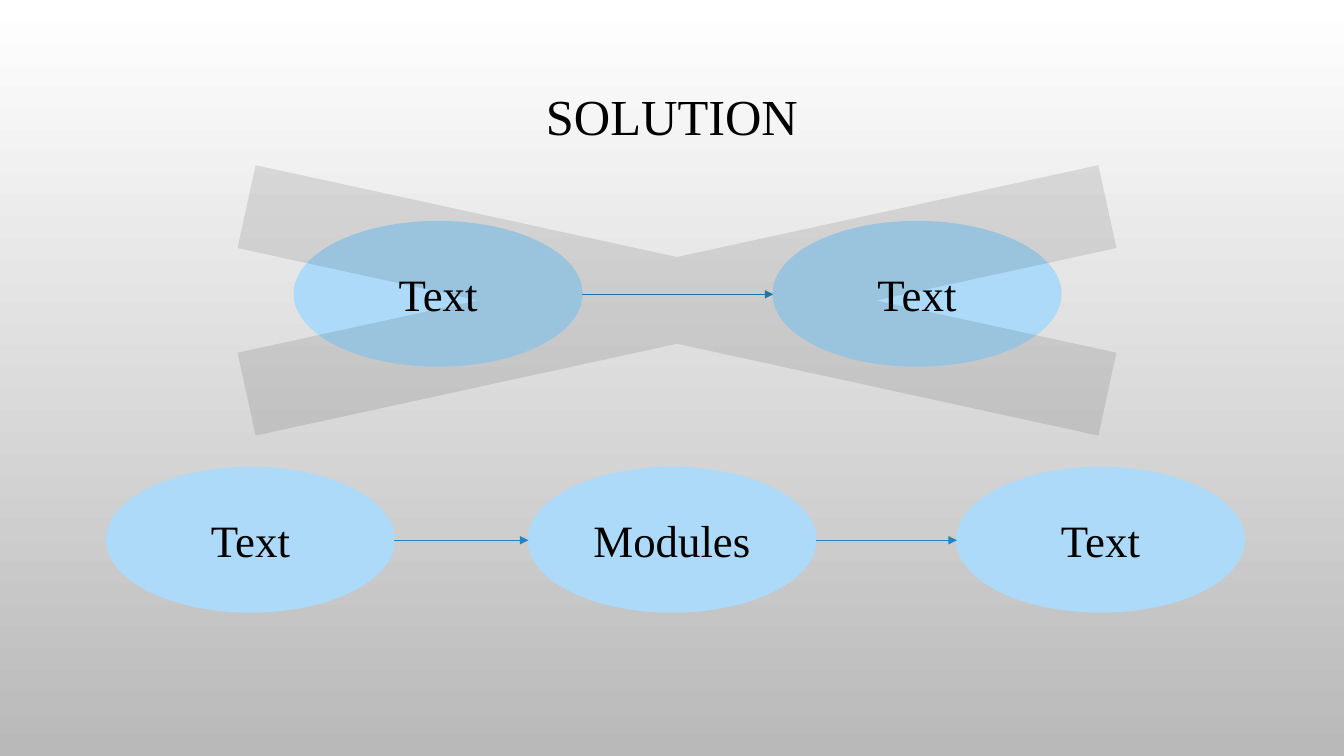
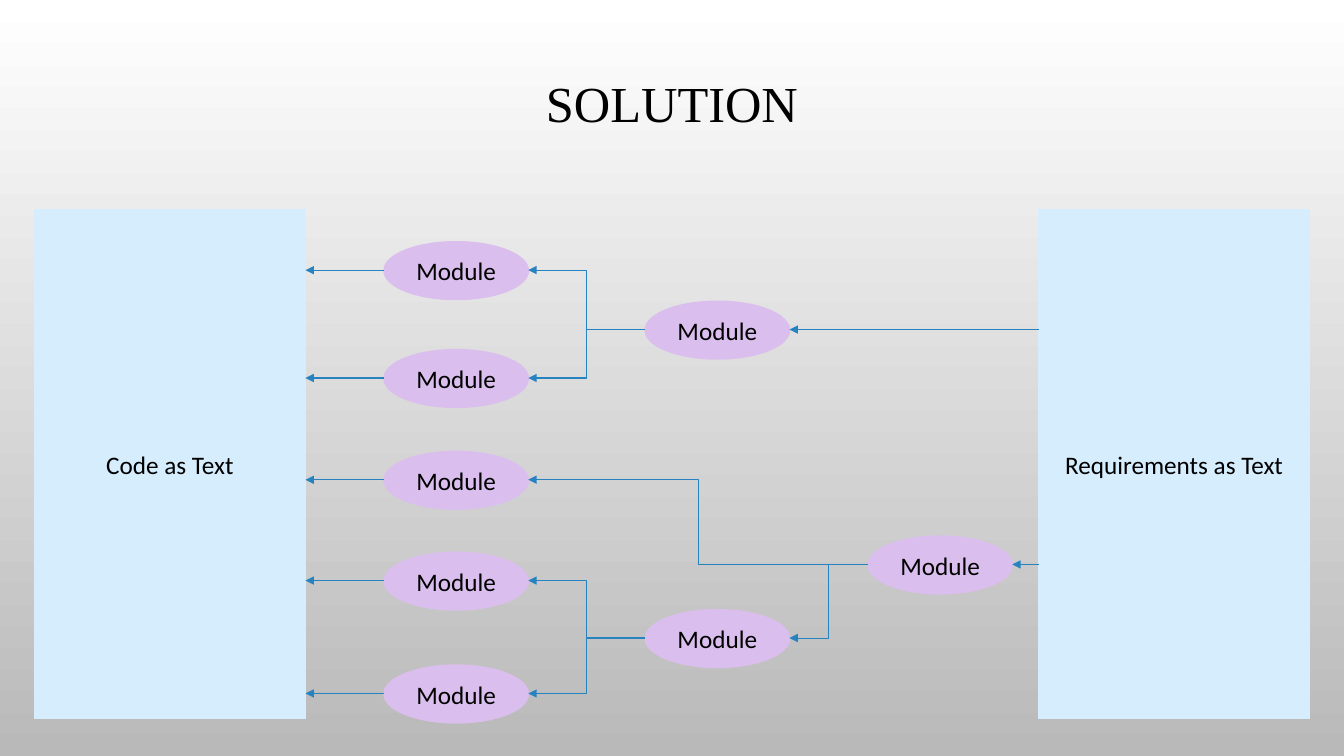
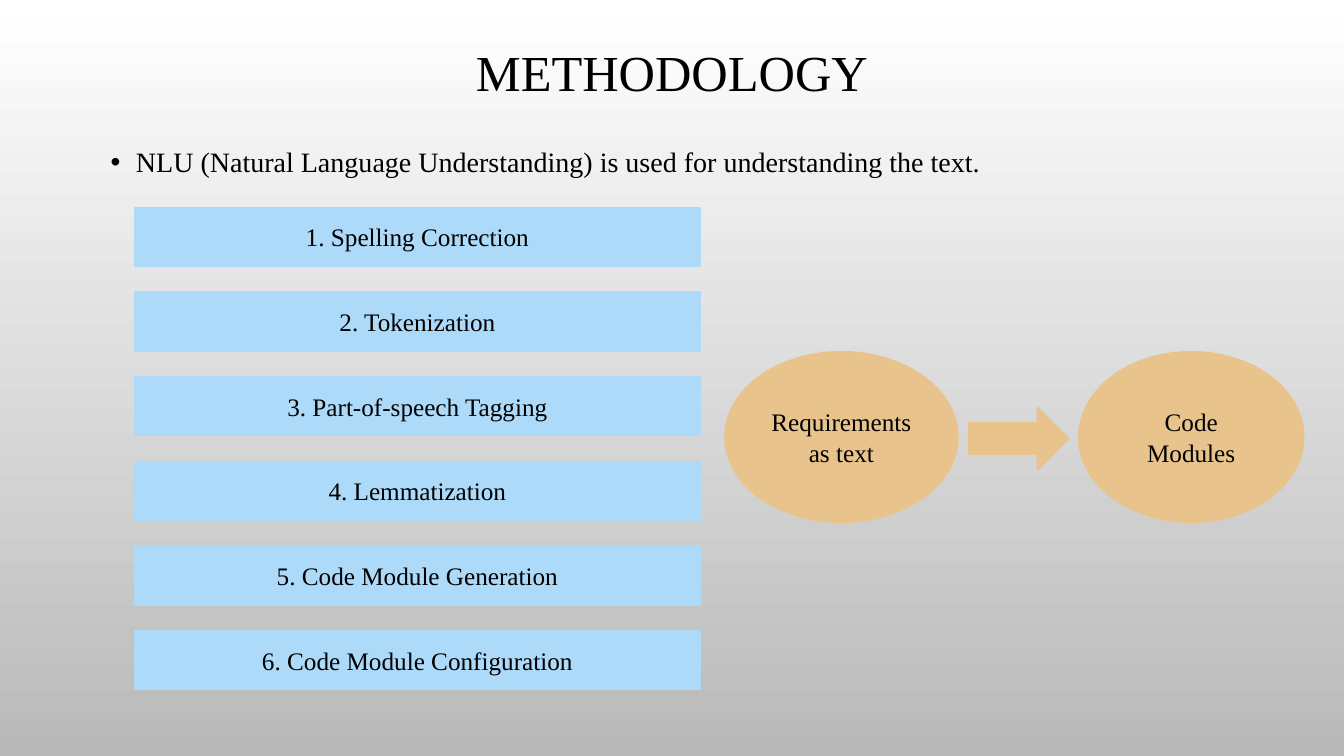
from lxml import etree
from pptx import Presentation
from pptx.dml.color import RGBColor
from pptx.enum.shapes import MSO_CONNECTOR, MSO_SHAPE
from pptx.enum.text import MSO_ANCHOR, PP_ALIGN
from pptx.oxml.ns import qn
from pptx.util import Pt

PX = 9144
WIDTH, HEIGHT = 1333, 750
ELLIPSE, RECTANGLE = MSO_SHAPE.OVAL, MSO_SHAPE.RECTANGLE
RIGHT_ARROW, MULTIPLY = MSO_SHAPE.RIGHT_ARROW, MSO_SHAPE.MATH_MULTIPLY
STRAIGHT, ELBOW = MSO_CONNECTOR.STRAIGHT, MSO_CONNECTOR.ELBOW
MIDDLE, TOP = MSO_ANCHOR.MIDDLE, MSO_ANCHOR.TOP
CENTER, LEFT = PP_ALIGN.CENTER, PP_ALIGN.LEFT

BLACK = RGBColor(0x00, 0x00, 0x00)
WHITE = RGBColor(0xFF, 0xFF, 0xFF)
GREY = RGBColor(0xB9, 0xB9, 0xB9)
SKY = RGBColor(0xAC, 0xDA, 0xF8)
PALE_SKY = RGBColor(0xD5, 0xED, 0xFC)
LILAC = RGBColor(0xDA, 0xBE, 0xED)
SAND = RGBColor(0xE8, 0xC4, 0x8C)
ARROW_BLUE = RGBColor(0x26, 0x83, 0xBF)

SERIF, SANS = "Times New Roman", "Calibri"
TITLE_FONT = {"name": SERIF, "size": Pt(36)}
BULLET_FONT = {"name": SERIF, "size": Pt(20)}
FLOW_FONT = {"name": SERIF, "size": Pt(32)}
STEP_FONT = {"name": SERIF, "size": Pt(18)}
MODULE_FONT = {"name": SANS, "size": Pt(18)}
TITLE_FORMAT = {"alignment": CENTER, "line_spacing": 0.9}
BULLET_FORMAT = {"alignment": LEFT, "line_spacing": 1.2}
SHAPE_FORMAT = {"alignment": CENTER}


def add_box(page, kind, place, text, font, fill=None, form=SHAPE_FORMAT, anchor=MIDDLE):
    area = [length * PX for length in place]
    if kind is None:
        box = page.shapes.add_textbox(*area)
    else:
        box = page.shapes.add_shape(kind, *area)
        box.shadow.inherit = False
        box.fill.solid()
        box.fill.fore_color.rgb = fill
        box.line.color.rgb = fill
        box.line.width = Pt(1.25)
    if text:
        frame = box.text_frame
        frame.word_wrap = True
        frame.vertical_anchor = anchor
        para = frame.paragraphs[0]
        for key, value in form.items():
            setattr(para, key, value)
        span = para.add_run()
        span.text = text
        span.font.color.rgb = BLACK
        for key, value in font.items():
            setattr(span.font, key, value)
    return box


def add_arrow(page, kind, start, end):
    arrow = page.shapes.add_connector(kind, *[length * PX for length in start + end])
    arrow.line.color.rgb = ARROW_BLUE
    arrow.line.width = Pt(0.75)
    etree.SubElement(arrow.line._get_or_add_ln(), qn("a:tailEnd"), type="triangle")
    etree.SubElement(arrow._element.spPr, qn("a:effectLst"))


deck = Presentation()
deck.slide_width, deck.slide_height = WIDTH * PX, HEIGHT * PX
backdrop = deck.slide_master.background.fill
backdrop.gradient()
backdrop.gradient_angle = 270
for stop, color, position in zip(backdrop.gradient_stops, (WHITE, GREY), (0, 1)):
    stop.color.rgb = color
    stop.position = position

pages = []
for title, top, height in (("SOLUTION", 77, 83), ("SOLUTION", 63, 85), ("METHODOLOGY", 26, 97)):
    page = deck.slides.add_slide(deck.slide_layouts[6])
    add_box(page, None, (100, top, 1133, height), title, TITLE_FONT, form=TITLE_FORMAT)
    pages.append(page)
overview, modules, methodology = pages

FLOW_WIDTH, FLOW_HEIGHT = 285, 143
flows = (
    (220, ((292, "Text"), (767, "Text"))),
    (464, ((106, "Text"), (524, "Modules"), (949, "Text"))),
)
for top, nodes in flows:
    for left, text in nodes:
        add_box(overview, ELLIPSE, (left, top, FLOW_WIDTH, FLOW_HEIGHT), text, FLOW_FONT, SKY)
    middle = top + FLOW_HEIGHT // 2 + 1
    for (left, _), (following, _) in zip(nodes, nodes[1:]):
        add_arrow(overview, STRAIGHT, (left + FLOW_WIDTH, middle), (following, middle))
cross = add_box(overview, MULTIPLY, (-150, 119, 1643, 358), "", FLOW_FONT, BLACK)
cross.adjustments[0] = 0.235
cross.line.fill.background()
cross_color = cross._element.spPr.find(qn("a:solidFill"))[0]
etree.SubElement(cross_color, qn("a:alpha"), val="10000")

PANEL_WIDTH = 269
CODE_LEFT, REQUIREMENTS_LEFT = 34, 1030
for left, text in ((CODE_LEFT, "Code as Text"), (REQUIREMENTS_LEFT, "Requirements as Text")):
    panel = add_box(modules, RECTANGLE, (left, 208, PANEL_WIDTH, 505), text, MODULE_FONT, PALE_SKY)
    panel.line.width = Pt(0.75)

MODULE_WIDTH, MODULE_HEIGHT = 143, 57
leaves = [(381, middle) for middle in (268, 375, 476, 576, 688)]
upper, lower, root = (640, 327), (640, 633), (861, 560)
for left, middle in leaves + [upper, lower, root]:
    place = (left, middle - MODULE_HEIGHT // 2, MODULE_WIDTH, MODULE_HEIGHT)
    add_box(modules, ELLIPSE, place, "Module", MODULE_FONT, LILAC)
for left, middle in (upper, root):
    add_arrow(modules, STRAIGHT, (REQUIREMENTS_LEFT, middle), (left + MODULE_WIDTH, middle))
for left, middle in leaves:
    add_arrow(modules, STRAIGHT, (left, middle), (CODE_LEFT + PANEL_WIDTH, middle))
branches = ((upper, leaves[:2]), (lower, leaves[3:]), (root, (leaves[2], lower)))
for parent, children in branches:
    for left, middle in children:
        add_arrow(modules, ELBOW, parent, (left + MODULE_WIDTH, middle))

bullet = add_box(
    methodology, None, (100, 132, 1133, 451),
    "NLU (Natural Language Understanding) is used for understanding the text.",
    BULLET_FONT, form=BULLET_FORMAT, anchor=TOP,
)
properties = bullet.text_frame.paragraphs[0]._p.get_or_add_pPr()
properties.set("marL", str(25 * PX))
properties.set("indent", str(-25 * PX))
etree.SubElement(properties, qn("a:buFont"), typeface="Arial")
etree.SubElement(properties, qn("a:buChar"), char="•")

steps = (
    "Spelling Correction", "Tokenization", "Part-of-speech Tagging",
    "Lemmatization", "Code Module Generation", "Code Module Configuration",
)
STEP_TOP, STEP_PITCH = 206, 84
for index, step in enumerate(steps):
    place = (134, STEP_TOP + index * STEP_PITCH, 560, 58)
    add_box(methodology, RECTANGLE, place, f"{index + 1}. {step}", STEP_FONT, SKY)

for kind, place, text in (
    (ELLIPSE, (719, 349, 231, 169), "Requirements as text"),
    (RIGHT_ARROW, (961, 404, 99, 62), ""),
    (ELLIPSE, (1070, 349, 223, 169), "Code Modules"),
):
    add_box(methodology, kind, place, text, STEP_FONT, SAND)

deck.save("out.pptx")
